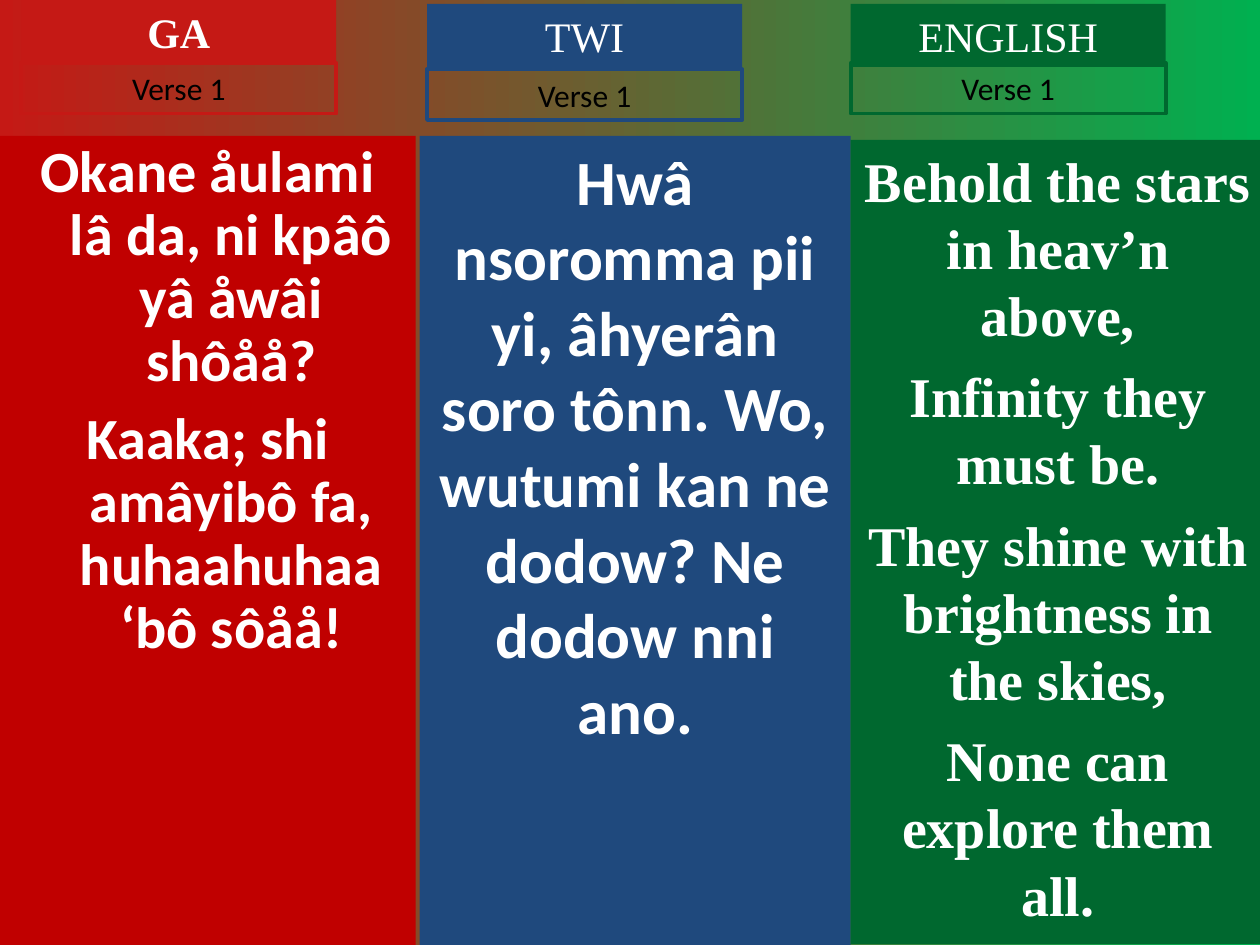
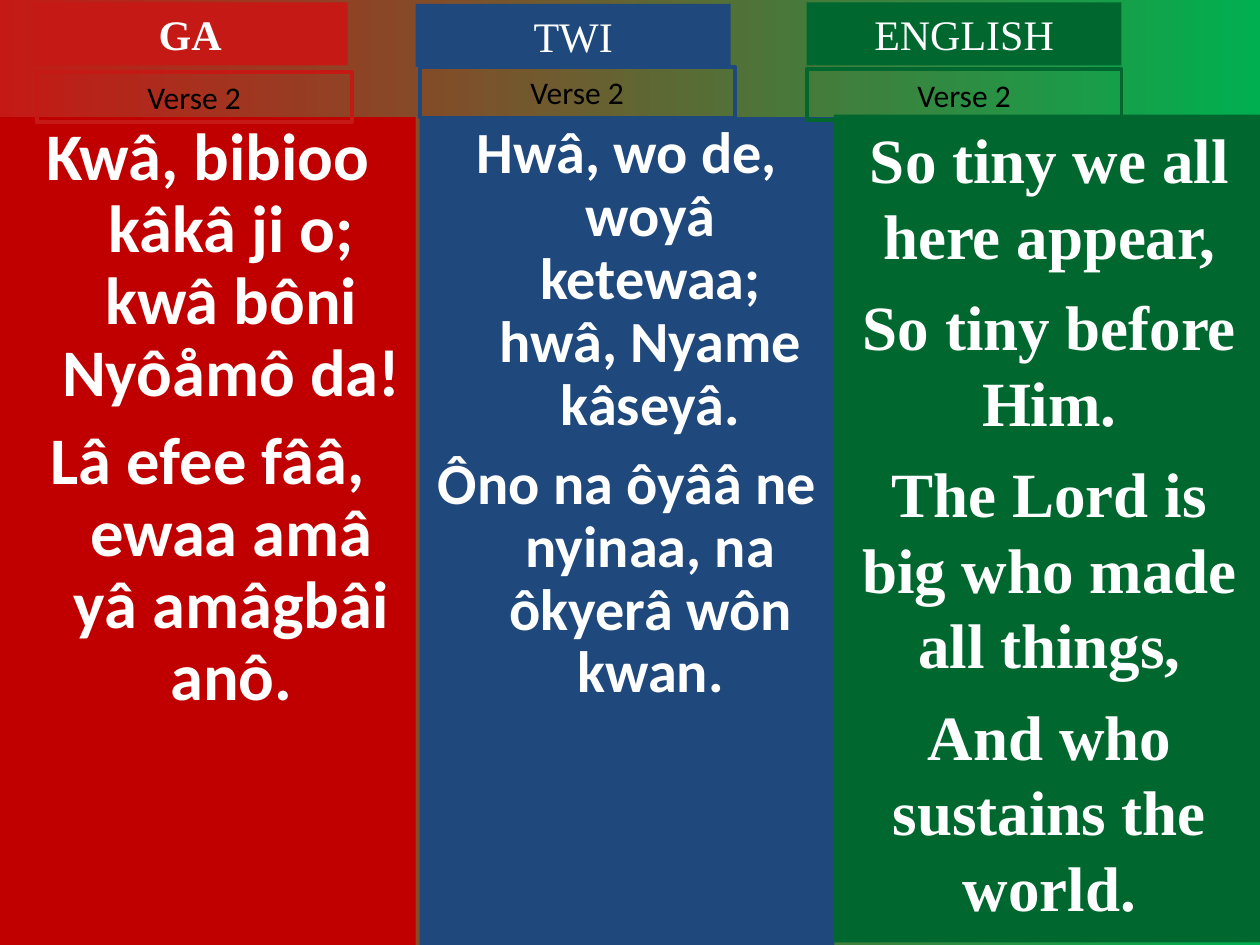
from typing import NamedTuple, Optional

from pptx import Presentation
from pptx import util as u
from pptx.dml import color as c
from pptx.enum import shapes, text


class Theme(NamedTuple):
    """Colours, fonts and type sizes shared by both slides."""
    red: str = "C51915"
    deep: str = "C00000"
    blue: str = "1F497D"
    green: str = "00682F"
    glow: str = "00B050"
    white: str = "FFFFFF"
    black: str = "000000"
    sans: str = "Calibri"
    serif: str = "Times New Roman"
    head: float = 24
    label: float = 18
    edge: float = 2.25


class Box(NamedTuple):
    """Place and size in centimetres."""
    left: float
    top: float
    width: float
    height: float


class Style(NamedTuple):
    font: str
    size: float
    ink: str
    bold: bool = False
    gap: float = 0
    hang: bool = False


class Tongue(NamedTuple):
    """What one language keeps on every slide."""
    name: str
    tint: str
    panel: str
    font: str
    bold: bool = False


class Column(NamedTuple):
    """One language on one slide."""
    body: Box
    head: tuple[float, float]
    label: tuple[float, float]
    size: float
    gap: float
    hang: bool
    lines: list[str]


T = Theme()
TONGUES = [
    Tongue("GA", T.red, T.deep, T.sans, True),
    Tongue("TWI", T.blue, T.blue, T.sans),
    Tongue("ENGLISH", T.green, T.green, T.serif),
]
WIDE, HEAD_H, LABEL_H = 6.35, 1.27, 1.02
HANG = 0.95

VERSES = [
    [
        Column(Box(0, 2.74, 8.38, 16.31), (0.43, 0), (0.43, 1.27), 33.3, 9, True,
               ["Okane åulami lâ da, ni kpâô yâ åwâi shôåå?",
                "Kaaka; shi amâyibô fa, huhaahuhaa ‘bô sôåå!"]),
        Column(Box(8.46, 2.74, 8.69, 16.31), (8.61, 0.08), (8.61, 1.4), 36, 9, False,
               ["Hwâ nsoromma pii yi, âhyerân soro tônn. Wo, wutumi kan ne "
                "dodow? Ne dodow nni ano."]),
        Column(Box(17.15, 2.82, 8.36, 16.21), (17.15, 0.08), (17.15, 1.27), 32, 8, False,
               ["Behold the stars in heav’n above,",
                "Infinity they must be.",
                "They shine with brightness in the skies,",
                "None can explore them all."]),
    ],
    [
        Column(Box(0, 2.36, 8.38, 16.69), (0.66, 0.05), (0.74, 1.45), 38, 9.5, True,
               ["Kwâ, bibioo kâkâ ji o; kwâ bôni Nyôåmô da!",
                "Lâ efee fââ, ewaa amâ yâ amâgbâi anô."]),
        Column(Box(8.46, 2.36, 8.36, 16.69), (8.38, 0.08), (8.46, 1.35), 33.3, 9, True,
               ["Hwâ, wo de, woyâ ketewaa; hwâ, Nyame kâseyâ.",
                "Ôno na ôyââ ne nyinaa, na ôkyerâ wôn kwan."]),
        Column(Box(16.81, 2.31, 8.69, 16.69), (16.26, 0.05), (16.26, 1.4), 36, 9, False,
               ["So tiny we all here appear,",
                "So tiny before Him.",
                "The Lord is big who made all things,",
                "And who sustains the world."]),
    ],
]


def rgb(code: str) -> c.RGBColor:
    return c.RGBColor.from_string(code)


def apply(item, form: dict) -> None:
    for key, value in form.items():
        setattr(item, key, value)


def write(frame, lines: list[str], style: Style) -> None:
    """Fill a text frame with centred paragraphs."""
    apply(frame, {"word_wrap": True, "vertical_anchor": text.MSO_ANCHOR.TOP})
    for i, line in enumerate(lines):
        para = frame.paragraphs[0] if i == 0 else frame.add_paragraph()
        para.alignment = text.PP_ALIGN.CENTER
        if i:
            para.space_before = u.Pt(style.gap)
        if style.hang:
            para.line_spacing = 0.9
            props = para._p.get_or_add_pPr()
            props.set("marL", str(u.Cm(HANG)))
            props.set("indent", str(-u.Cm(HANG)))
        run = para.add_run()
        run.text = line
        apply(run.font, {"name": style.font, "size": u.Pt(style.size), "bold": style.bold})
        run.font.color.rgb = rgb(style.ink)


def block(slide, box: Box, lines: list[str], style: Style,
          fill: Optional[str] = None, edge: Optional[str] = None) -> None:
    """Draw a rectangle with text, filled or outlined."""
    shape = slide.shapes.add_shape(shapes.MSO_SHAPE.RECTANGLE, *map(u.Cm, box))
    shape.shadow.inherit = False
    if fill:
        shape.fill.solid()
        shape.fill.fore_color.rgb = rgb(fill)
    else:
        shape.fill.background()
    if edge:
        shape.line.color.rgb = rgb(edge)
        shape.line.width = u.Pt(T.edge)
    else:
        shape.line.fill.background()
    write(shape.text_frame, lines, style)


def backdrop(slide) -> None:
    """Run the background from red on the left to green on the right."""
    fill = slide.background.fill
    fill.gradient()
    fill.gradient_angle = 0
    for stop, code in zip(fill.gradient_stops, (T.red, T.glow)):
        stop.color.rgb = rgb(code)


def verse(deck, number: int, columns: list[Column]) -> None:
    slide = deck.slides.add_slide(deck.slide_layouts[6])
    backdrop(slide)
    pairs = list(zip(TONGUES, columns))
    # Lyric panels lie beneath the headings
    for tongue, col in pairs:
        style = Style(tongue.font, col.size, T.white, True, col.gap, col.hang)
        block(slide, col.body, col.lines, style, fill=tongue.panel)
    # Language headings and verse labels
    for tongue, col in pairs:
        block(slide, Box(*col.head, WIDE, HEAD_H), [tongue.name],
              Style(T.serif, T.head, T.white, tongue.bold), fill=tongue.tint)
        block(slide, Box(*col.label, WIDE, LABEL_H), [f"Verse {number}"],
              Style(T.sans, T.label, T.black), edge=tongue.tint)


def main() -> None:
    deck = Presentation()
    apply(deck, {"slide_width": u.Cm(25.4), "slide_height": u.Cm(19.05)})
    for number, columns in enumerate(VERSES, 1):
        verse(deck, number, columns)
    deck.save("out.pptx")


if __name__ == "__main__":
    main()
